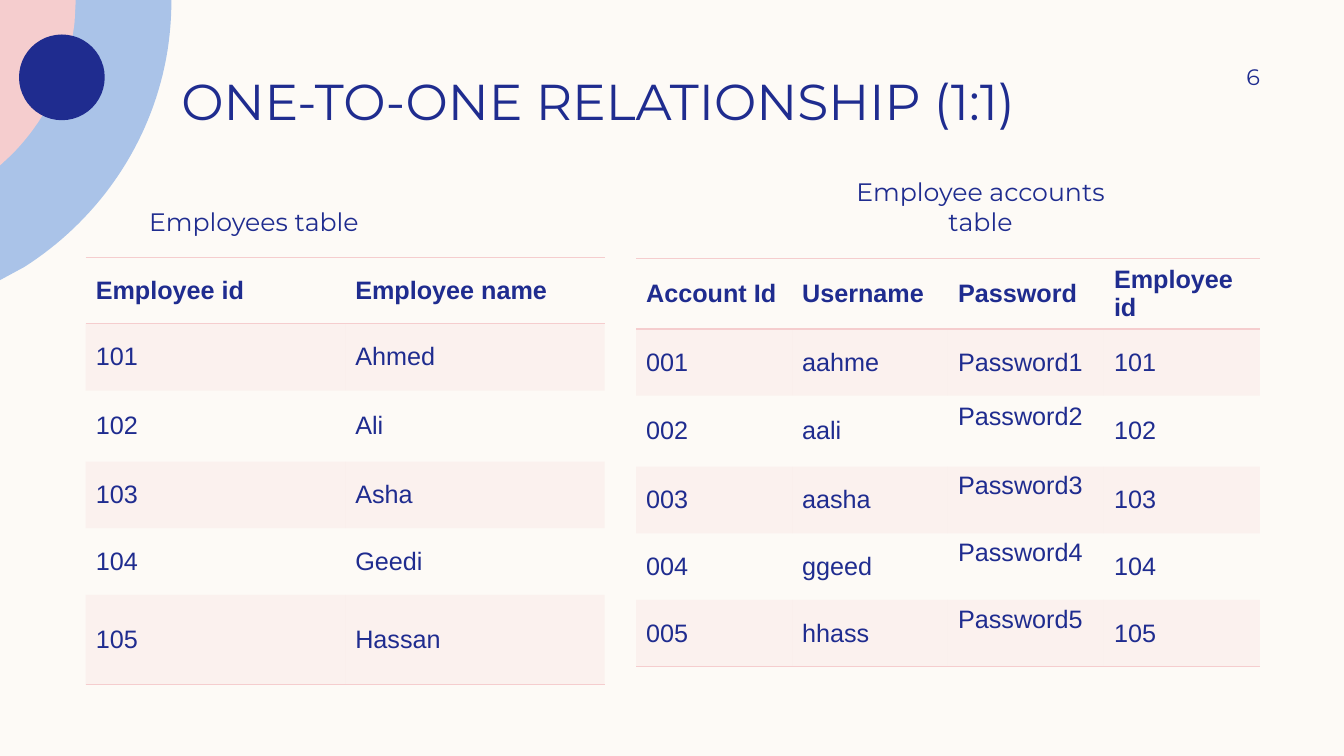
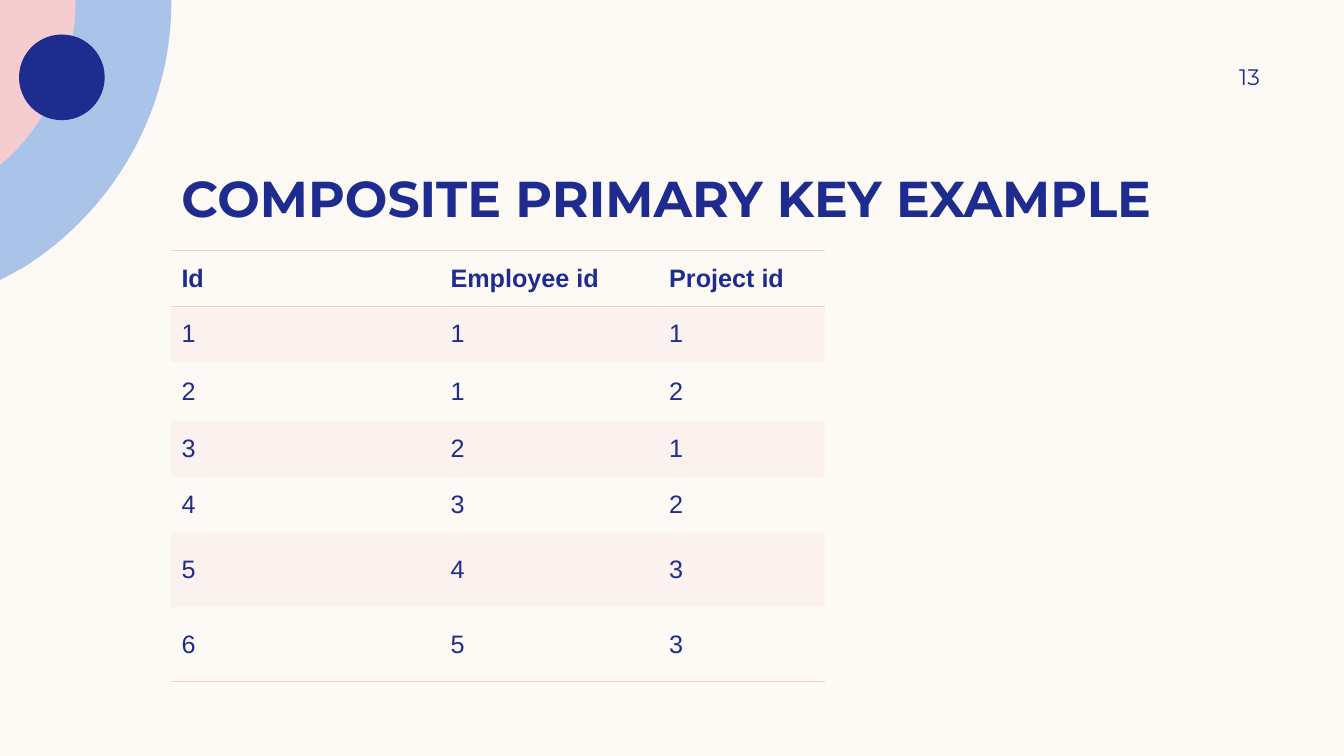
from pptx import Presentation
from pptx.dml.color import RGBColor
from pptx.enum.shapes import MSO_SHAPE
from pptx.enum.text import MSO_ANCHOR, PP_ALIGN
from pptx.oxml import parse_xml
from pptx.oxml.ns import nsdecls, qn
from pptx.util import Cm, Pt

COLORS = {"paper": "FDFAF6", "navy": "1F2C8F", "blue": "AAC3E8", "pink": "F5CDCE"}
NO_STYLE = "{2D5ABB26-0587-4C30-8999-92F81FD0307C}"


def rgb(name):
    return RGBColor.from_string(COLORS[name])


def write(tf, text, size=18, font="Montserrat", color="navy", bold=False, align=PP_ALIGN.LEFT):
    p = tf.paragraphs[0]
    p.alignment = align
    r = p.add_run()
    r.text = text
    r.font.size = Pt(size)
    r.font.name = font
    r.font.bold = bold
    r.font.color.rgb = rgb(color)


def curve(a, b, c, d, steps=40):
    for i in range(1, steps + 1):
        t = i / steps
        u = 1 - t
        yield tuple(u**3 * w + 3 * u * u * t * x + 3 * u * t * t * y + t**3 * z
                    for w, x, y, z in zip(a, b, c, d))


def border(cell, side):
    cell._tc.get_or_add_tcPr().append(parse_xml(
        f'<a:{side} {nsdecls("a")} w="12700"><a:solidFill><a:srgbClr val="{COLORS["pink"]}"/>'
        f'</a:solidFill></a:{side}>'))


class Deck:
    def __init__(self):
        self.prs = Presentation()
        self.prs.slide_width, self.prs.slide_height = Cm(33.87), Cm(19.05)
        fill = self.prs.slide_master.background.fill
        fill.solid()
        fill.fore_color.rgb = rgb("paper")

    def slide(self, title, number, top, bold=False):
        self.s = self.prs.slides.add_slide(self.prs.slide_layouts[6])
        self.sector("blue", [(4.32, 0)], [(4.32, 0.03), (4.32, 2.84), (2.84, 5.31), (0.61, 6.73)], 7.06)
        self.sector("pink", [(1.91, 0)], [(1.88, 0.56), (1.73, 1.85), (1.17, 3.02), (0.28, 3.91)], 4.17)
        self.paint(self.s.shapes.add_shape(MSO_SHAPE.OVAL, Cm(0.48), Cm(0.87), Cm(2.16), Cm(2.16)), "navy")
        self.text(title, 4.32, top, 27.43, 2.72, size=36, bold=bold)
        self.text(number, 28.78, 1.27, 2.97, 1.32, anchor=MSO_ANCHOR.MIDDLE, right=0,
                  size=16, align=PP_ALIGN.RIGHT)

    def paint(self, sp, color):
        sp.shadow.inherit = False
        sp.fill.solid()
        sp.fill.fore_color.rgb = rgb(color)
        sp.line.fill.background()

    def sector(self, color, edge, arc, end):
        points = edge + arc[:1] + list(curve(*arc)) + [(0, end)]
        fb = self.s.shapes.build_freeform(0, 0, scale=Cm(1) / 1000)
        fb.add_line_segments([(round(x * 1000), round(y * 1000)) for x, y in points])
        self.paint(fb.convert_to_shape(), color)

    def text(self, text, x, y, w, h, anchor=MSO_ANCHOR.BOTTOM, right=0.25, **style):
        tf = self.s.shapes.add_textbox(Cm(x), Cm(y), Cm(w), Cm(h)).text_frame
        tf.word_wrap = True
        tf.vertical_anchor = anchor
        tf.margin_left, tf.margin_right = Cm(0.25), Cm(right)
        tf.margin_top = tf.margin_bottom = 0
        write(tf, text, **style)

    def caption(self, text, x):
        self.text(text, x, 4.19, 7.72, 1.78, align=PP_ALIGN.CENTER)

    def table(self, rows, x, y, widths, heights, raised=()):
        tbl = self.s.shapes.add_table(len(rows), len(widths), Cm(x), Cm(y),
                                      Cm(sum(widths)), Cm(sum(heights))).table
        tbl.first_row = tbl.horz_banding = False
        tbl._tbl.tblPr.find(qn("a:tableStyleId")).text = NO_STYLE
        for col, w in zip(tbl.columns, widths):
            col.width = Cm(w)
        for i, (row, h) in enumerate(zip(rows, heights)):
            tbl.rows[i].height = Cm(h)
            for j, value in enumerate(row):
                cell = tbl.cell(i, j)
                cell.vertical_anchor = MSO_ANCHOR.MIDDLE
                if (i, j) in raised:
                    cell.margin_top, cell.margin_bottom = 0, Cm(0.71)
                write(cell.text_frame, value, font="Arial", bold=i == 0)
                if i == 0:
                    border(cell, "lnT")
                if i in (0, len(rows) - 1):
                    border(cell, "lnB")
                self.band(cell, i % 2 == 1)

    def band(self, cell, tinted):
        if not tinted:
            cell.fill.background()
            return
        cell.fill.solid()
        cell.fill.fore_color.rgb = rgb("pink")
        clr = cell._tc.tcPr.find(qn("a:solidFill")).find(qn("a:srgbClr"))
        clr.append(parse_xml(f'<a:alpha {nsdecls("a")} val="20000"/>'))


def main():
    deck = Deck()

    deck.slide("ONE-TO-ONE RELATIONSHIP (1:1)", "6", 0.56)
    employees = [("Employee id", "Employee name"), ("101", "Ahmed"), ("102", "Ali"),
                 ("103", "Asha"), ("104", "Geedi"), ("105", "Hassan")]
    accounts = [("Account Id", "Username", "Password", "Employee id")]
    for n, user in enumerate(("aahme", "aali", "aasha", "ggeed", "hhass"), 1):
        accounts.append((f"00{n}", user, f"Password{n}", f"10{n}"))
    heights = [1.68, 1.68, 1.79, 1.68, 1.68]
    deck.table(employees, 2.16, 6.48, [6.54] * 2, heights + [2.26])
    deck.table(accounts, 16.03, 6.51, [3.93] * 4, heights + [1.68],
               raised=[(i, 2) for i in range(2, 6)])
    deck.caption("Employees table", 2.54)
    deck.caption("Employee accounts table", 20.85)

    deck.slide("COMPOSITE PRIMARY KEY EXAMPLE", "13", 3.02, bold=True)
    keys = [("Id", "Employee id", "Project id"), ("1", "1", "1"), ("2", "1", "2"),
            ("3", "2", "1"), ("4", "3", "2"), ("5", "4", "3"), ("6", "5", "3")]
    deck.table(keys, 4.32, 6.32, [6.78, 5.51, 4.17], [1.4, 1.4, 1.5, 1.4, 1.4, 1.88, 1.88])

    deck.prs.save("out.pptx")


if __name__ == "__main__":
    main()
